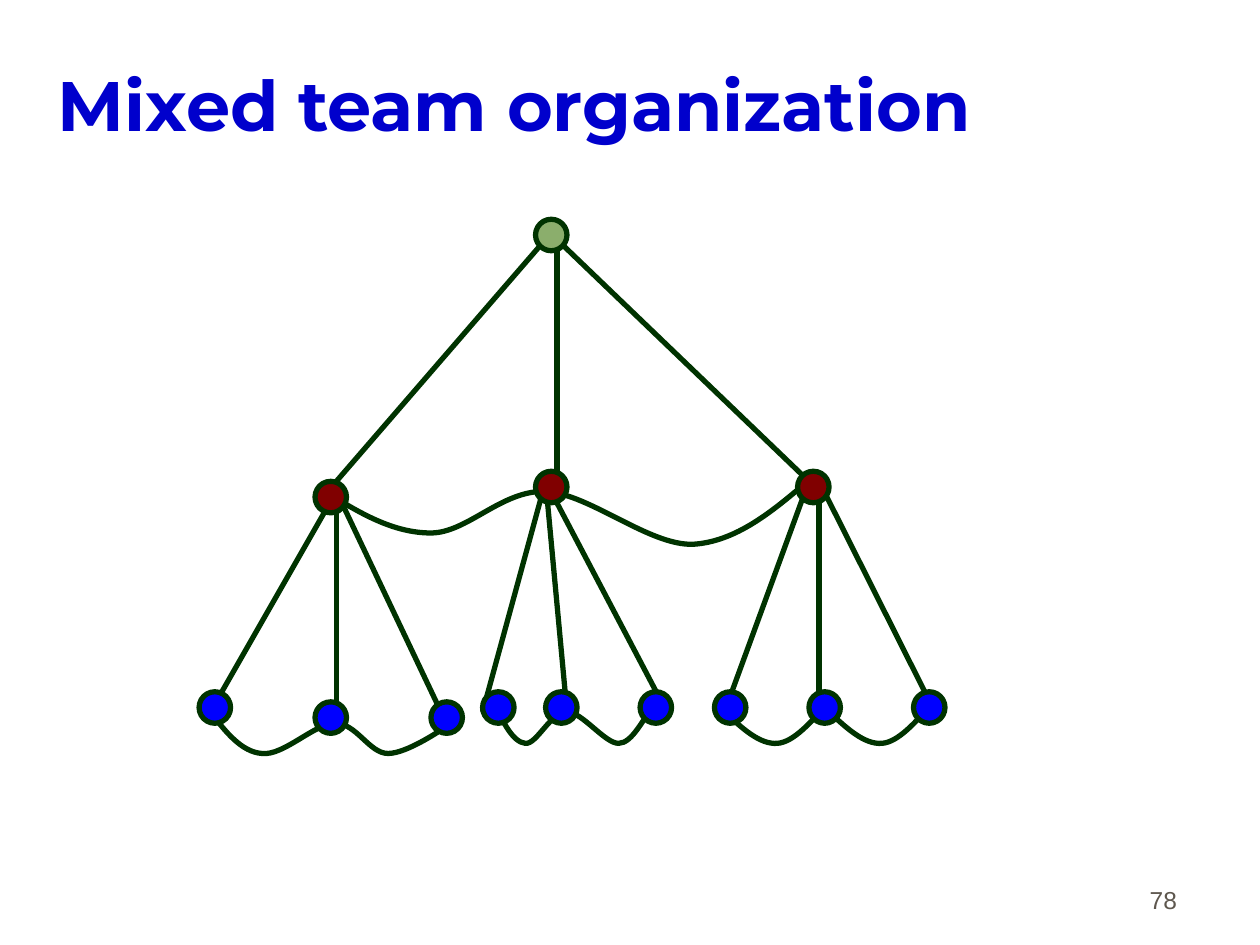
from pptx import Presentation
from pptx.dml.color import RGBColor
from pptx.enum.shapes import MSO_CONNECTOR, MSO_SHAPE
from pptx.enum.text import MSO_ANCHOR, PP_ALIGN
from pptx.oxml.ns import qn
from pptx.util import Inches, Pt
from lxml import etree

LINE = MSO_CONNECTOR.STRAIGHT
OVAL = MSO_SHAPE.OVAL
LEFT, RIGHT = PP_ALIGN.LEFT, PP_ALIGN.RIGHT
MIDDLE, BOTTOM = MSO_ANCHOR.MIDDLE, MSO_ANCHOR.BOTTOM

COLORS = {
    "title": "0000CC",
    "number": "5E574E",
    "edge": "003300",
    "head": "8BAE6C",
    "lead": "800000",
    "member": "0000FF",
}
SIZE = 0.25

# Each start point with the points its lines run to
LINKS = [
    ((4.33, 1.9), [(2.67, 3.82)]),
    ((4.42, 1.82), [(4.42, 3.9)]),
    ((4.42, 1.9), [(6.42, 3.82)]),
    ((2.67, 3.9), [(1.67, 5.65), (2.67, 5.65), (3.5, 5.65)]),
    ((4.33, 3.82), [(3.83, 5.65), (4.5, 5.65), (5.25, 5.57)]),
    ((6.42, 3.82), [(5.75, 5.65)]),
    ((6.5, 3.9), [(6.5, 5.65)]),
    ((6.5, 3.82), [(7.42, 5.65)]),
]

# Start point, then two control points and an end point per segment
CURVES = [
    [(1.67, 5.65), (1.79, 5.81), (1.92, 5.97), (2.08, 5.98),
     (2.25, 6), (2.5, 5.74), (2.66, 5.74),
     (2.83, 5.74), (2.93, 5.98), (3.08, 5.98),
     (3.23, 5.98), (3.51, 5.79), (3.58, 5.74),
     (3.65, 5.68), (3.57, 5.67), (3.5, 5.65)],
    [(3.92, 5.57), (3.99, 5.73), (4.07, 5.89), (4.17, 5.9),
     (4.26, 5.91), (4.37, 5.65), (4.5, 5.65),
     (4.62, 5.65), (4.8, 5.9), (4.91, 5.9),
     (5.02, 5.9), (5.11, 5.69), (5.16, 5.65)],
    *[[(x, 5.65), (x + 0.14, 5.78), (x + 0.28, 5.91), (x + 0.42, 5.9),
       (x + 0.55, 5.89), (x + 0.69, 5.73), (x + 0.83, 5.57)]
      for x in (5.75, 6.58)],
    [(2.58, 3.9), (2.85, 4.07), (3.12, 4.23), (3.42, 4.23),
     (3.71, 4.23), (3.98, 3.89), (4.33, 3.9),
     (4.68, 3.92), (5.15, 4.33), (5.5, 4.32),
     (5.84, 4.3), (6.13, 4.06), (6.41, 3.82)],
]

# Left and top of the circles at each level
NODES = {
    "lead": [(2.5, 3.82), (4.25, 3.74), (6.33, 3.74)],
    "member": [(1.58, 5.49), (2.5, 5.57), (3.42, 5.57),
               (3.83, 5.49), (4.33, 5.49), (5.08, 5.49),
               (5.67, 5.49), (6.42, 5.49), (7.25, 5.49)],
    "head": [(4.25, 1.74)],
}


def color(name):
    return RGBColor.from_string(COLORS[name])


def write(frame, text, *, font, size, fill, bold=False, align=LEFT, before=0):
    par = frame.paragraphs[0]
    par.alignment = align
    par.space_before = Pt(before)
    run = par.add_run()
    run.text = text
    run.font.name = font
    run.font.size = Pt(size)
    run.font.bold = bold
    run.font.color.rgb = color(fill)


class Chart:
    """Holds the slide and the line style shared by all parts of the tree."""

    def __init__(self, slide, edge="edge", width=3):
        self.shapes = slide.shapes
        self.edge = edge
        self.width = width

    def stroke(self, line):
        line.color.rgb = color(self.edge)
        line.width = Pt(self.width)

    def text(self, text, box, anchor, inset, **style):
        frame = self.shapes.add_textbox(*map(Inches, box)).text_frame
        frame.word_wrap = True
        frame.vertical_anchor = anchor
        frame.margin_left = frame.margin_right = Inches(inset)
        write(frame, text, **style)

    def link(self, start, end):
        line = self.shapes.add_connector(LINE, *map(Inches, start + end))
        self.stroke(line.line)
        etree.SubElement(line._element.spPr, qn("a:effectLst"))

    def curve(self, points):
        """Draw cubic segments by grouping each three points of an outline."""
        first, *rest = [(Inches(x), Inches(y)) for x, y in points]
        pen = self.shapes.build_freeform(*first)
        pen.add_line_segments(rest, close=False)
        shape = pen.convert_to_shape()
        shape.fill.background()
        shape.shadow.inherit = False
        self.stroke(shape.line)
        track = next(shape._element.iter(qn("a:path")))
        steps = track.findall(qn("a:lnTo"))
        for i in range(0, len(steps), 3):
            cubic = etree.SubElement(track, qn("a:cubicBezTo"))
            for step in steps[i:i + 3]:
                cubic.append(step[0])
                track.remove(step)

    def node(self, left, top, fill):
        box = map(Inches, (left, top, SIZE, SIZE))
        shape = self.shapes.add_shape(OVAL, *box)
        shape.shadow.inherit = False
        shape.fill.solid()
        shape.fill.fore_color.rgb = color(fill)
        self.stroke(shape.line)


def main():
    deck = Presentation()
    deck.slide_width, deck.slide_height = Inches(10), Inches(7.5)
    chart = Chart(deck.slides.add_slide(deck.slide_layouts[6]))

    chart.text("78", (7.36, 6.81, 2.08, 0.5), BOTTOM, 0.1, font="Arial",
               size=14, fill="number", align=RIGHT, before=8.8)
    chart.text("Mixed team organization", (0.44, 0.2, 8.5, 1.25), MIDDLE, 0.02,
               font="Montserrat", size=40, fill="title", bold=True, before=9.9)

    for start, ends in LINKS:
        for end in ends:
            chart.link(start, end)
    for points in CURVES:
        chart.curve(points)
    for level, spots in NODES.items():
        for left, top in spots:
            chart.node(left, top, level)

    deck.save("out.pptx")


if __name__ == "__main__":
    main()
